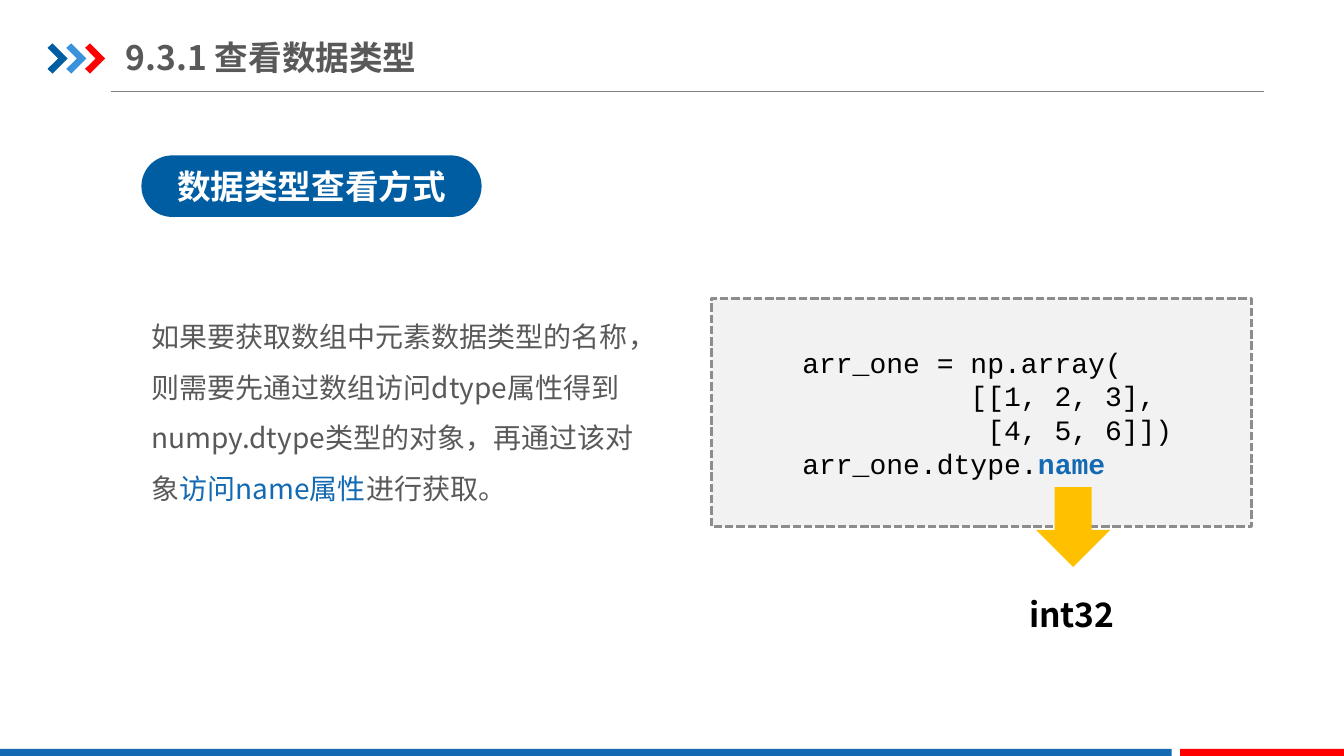
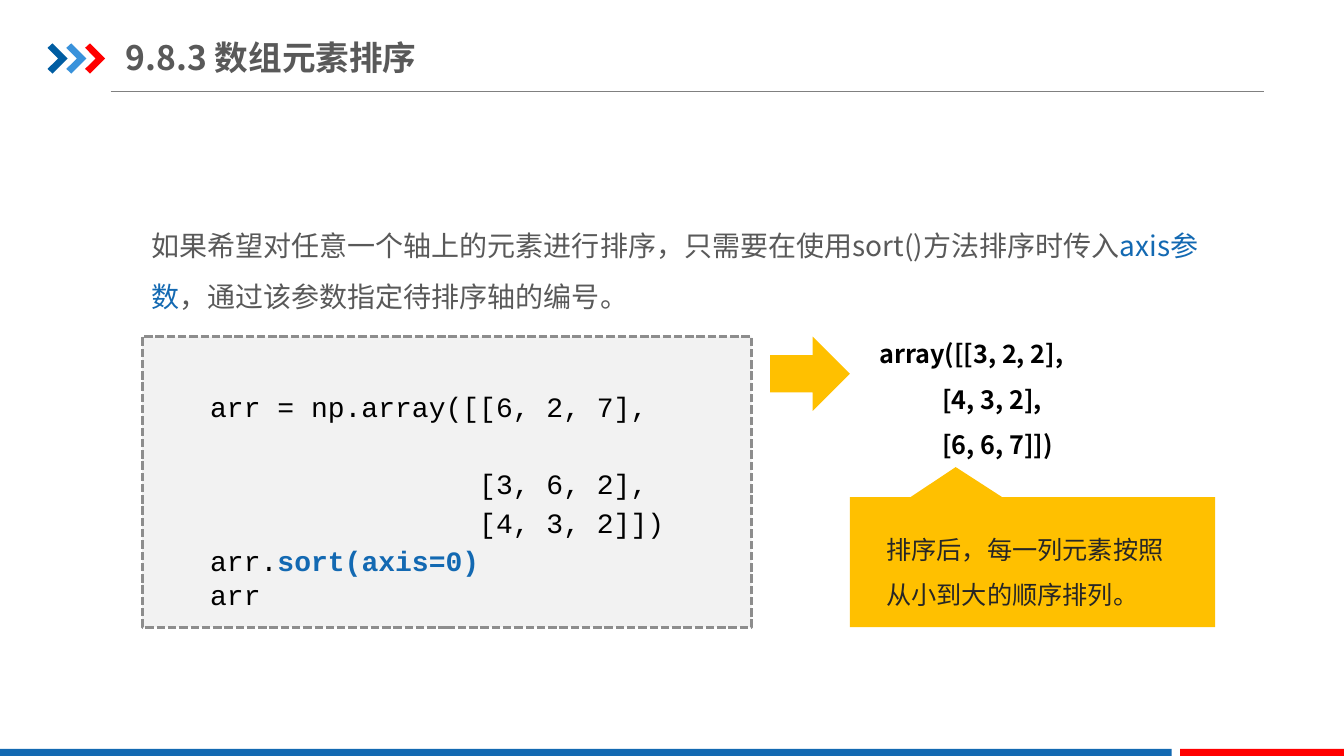
from dataclasses import dataclass

from lxml.etree import SubElement
from pptx import Presentation
from pptx.dml.color import RGBColor
from pptx.enum.dml import MSO_LINE_DASH_STYLE as Dash
from pptx.enum.shapes import MSO_AUTO_SHAPE_TYPE as Preset, MSO_CONNECTOR_TYPE as Link
from pptx.enum.text import MSO_VERTICAL_ANCHOR as Anchor, PP_PARAGRAPH_ALIGNMENT as Align
from pptx.oxml.ns import qn
from pptx.util import Pt


@dataclass(frozen=True)
class Theme:
    """Colours, fonts and type sizes shared by all slides."""
    navy: str = "005DA2"
    sky: str = "3992DB"
    red: str = "FF0000"
    blue: str = "1369B2"
    amber: str = "FFC000"
    grey: str = "595959"
    rule: str = "808080"
    panel: str = "F2F2F2"
    border: str = "8D8D8D"
    black: str = "000000"
    ink: str = "262626"
    white: str = "FFFFFF"
    sans: str = "Noto Sans CJK SC"
    mono: str = "Courier New"
    heading: int = 24
    body: int = 20
    note: int = 18


class Deck:
    """Holds the theme and the current slide, and draws each kind of element."""

    def __init__(self, theme):
        self.theme = theme
        self.prs = Presentation()
        self.prs.slide_width, self.prs.slide_height = Pt(960), Pt(540)

    def new_slide(self, title):
        theme = self.theme
        self.slide = self.prs.slides.add_slide(self.prs.slide_layouts[6])
        self.rule(79, 903, 65.5)
        for step, color in enumerate((theme.navy, theme.sky, theme.red)):
            self.chevron(34 + 13.4 * step, 31, color)
        for left, width, color in ((0, 837, theme.blue), (843, 117, theme.red)):
            self.shape(Preset.RECTANGLE, (left, 535, width, 6), color)
        frame = self.text((90, 21, 400, 40), [[title]], size=theme.heading, bold=True)
        margins = dict(margin_left=0, margin_right=0, margin_top=Pt(5), margin_bottom=Pt(5))
        self.apply(frame, vertical_anchor=Anchor.MIDDLE, **margins)

    @staticmethod
    def apply(target, **values):
        for name, value in values.items():
            setattr(target, name, value)

    @staticmethod
    def paint(target, color):
        target.solid()
        target.fore_color.rgb = RGBColor.from_string(color)

    def rule(self, start, end, top):
        line = self.slide.shapes.add_connector(Link.STRAIGHT, Pt(start), Pt(top), Pt(end), Pt(top))
        self.paint(line.line.fill, self.theme.rule)
        line.line.width = Pt(0.75)
        SubElement(line._element.spPr, qn("a:effectLst"))

    def chevron(self, left, top, color):
        outline = ((0, 3.2), (3.5, 0), (14.4, 10.8), (3.5, 21.6), (0, 18.2), (7.6, 10.8))
        points = [(Pt(left + x), Pt(top + y)) for x, y in outline]
        builder = self.slide.shapes.build_freeform(*points[0])
        builder.add_line_segments(points[1:], close=True)
        self.finish(builder.convert_to_shape(), color)

    def finish(self, shape, color):
        shape.shadow.inherit = False
        self.paint(shape.fill, color)
        shape.line.fill.background()

    def shape(self, preset, box, color, adjustments=()):
        shape = self.slide.shapes.add_shape(preset, *map(Pt, box))
        for index, value in enumerate(adjustments):
            shape.adjustments[index] = value
        self.finish(shape, color)
        return shape

    def pill(self, box, label):
        theme = self.theme
        frame = self.shape(Preset.ROUNDED_RECTANGLE, box, theme.navy, (0.5,)).text_frame
        frame.vertical_anchor = Anchor.MIDDLE
        self.fill_text(frame, [[label]], size=theme.heading, color=theme.white, bold=True)
        frame.paragraphs[0].alignment = Align.CENTER

    def code(self, panel, box, lines, spacing=1.0):
        theme = self.theme
        border = self.shape(Preset.RECTANGLE, panel, theme.panel).line
        self.paint(border.fill, theme.border)
        self.apply(border, width=Pt(2), dash_style=Dash.SQUARE_DOT)
        return self.text(box, lines, spacing, color=theme.black, font=theme.mono, accent_bold=True)

    def text(self, box, paragraphs, spacing=1.0, **style):
        frame = self.slide.shapes.add_textbox(*map(Pt, box)).text_frame
        frame.word_wrap = True
        self.fill_text(frame, paragraphs, spacing, **style)
        return frame

    def fill_text(self, frame, paragraphs, spacing=1.0, size=None, color=None, font=None,
                  bold=False, accent_bold=False):
        theme = self.theme
        font = font or theme.sans
        for index, pieces in enumerate(paragraphs):
            paragraph = frame.add_paragraph() if index else frame.paragraphs[0]
            paragraph.line_spacing = spacing
            for position, piece in enumerate(pieces):
                accent = position % 2 == 1
                run = paragraph.add_run()
                run.text = piece
                self.apply(run.font, name=font, size=Pt(size or theme.body),
                           bold=accent_bold if accent else bold)
                self.paint(run.font.fill, theme.blue if accent else color or theme.grey)
                SubElement(run.font._element, qn("a:ea"), typeface=font)


def data_type_slide(deck):
    """Shows how to look up the data type of an array."""
    theme = deck.theme
    deck.new_slide("9.3.1 查看数据类型")
    deck.pill((101, 111, 243, 44), "数据类型查看方式")
    deck.text((101, 213, 363, 153), [[
        "如果要获取数组中元素数据类型的名称，则需要先通过数组访问dtype属性得到numpy.dtype类型的对象，再通过该对象",
        "访问name属性", "进行获取。"]], 1.5)
    deck.code((508, 213, 386, 163), (566, 243, 300, 104), [
        ["arr_one = np.array("],
        ["          [[1, 2, 3],"],
        ["           [4, 5, 6]])"],
        ["arr_one.dtype.", "name"]])
    deck.shape(Preset.DOWN_ARROW, (740, 348, 53, 57), theme.amber)
    deck.text((728, 406, 100, 46), [["int32"]], 1.5,
              size=theme.heading, color=theme.black, bold=True)


def sorting_slide(deck):
    """Shows how to sort an array along an axis."""
    theme = deck.theme
    deck.new_slide("9.8.3 数组元素排序")
    deck.text((101, 148, 766, 80), [[
        "如果希望对任意一个轴上的元素进行排序，只需要在使用sort()方法排序时传入",
        "axis参数", "，通过该参数指定待排序轴的编号。"]], 1.5)
    code = deck.code((101.5, 240.5, 435.5, 207.5), (143, 271, 351, 170), [
        ["arr = np.array([[6, 2, 7],"],
        ["                [3, 6, 2],"],
        ["                [4, 3, 2]])"],
        ["arr.", "sort(axis=0)"],
        ["arr"]], 1.15)
    code.paragraphs[1].space_before = Pt(27.5)
    code.paragraphs[-1].line_spacing = 1.0
    deck.shape(Preset.RIGHT_ARROW, (550, 240.5, 57, 53), theme.amber)
    deck.text((621, 227.5, 182, 102), [
        ["array([[3, 2, 2],"],
        ["           [4, 3, 2],"],
        ["           [6, 6, 7]])"]], 1.5, size=theme.note, color=theme.black, bold=True)
    deck.shape(Preset.RECTANGULAR_CALLOUT, (607, 355, 261, 93), theme.amber, (-0.21, -0.73))
    deck.text((626, 367, 223, 69), [["排序后，每一列元素按照从小到大的顺序排列。"]], 1.5,
              size=theme.note, color=theme.ink)


def main():
    """Builds both slides and saves the deck."""
    deck = Deck(Theme())
    data_type_slide(deck)
    sorting_slide(deck)
    deck.prs.save("out.pptx")


if __name__ == "__main__":
    main()
